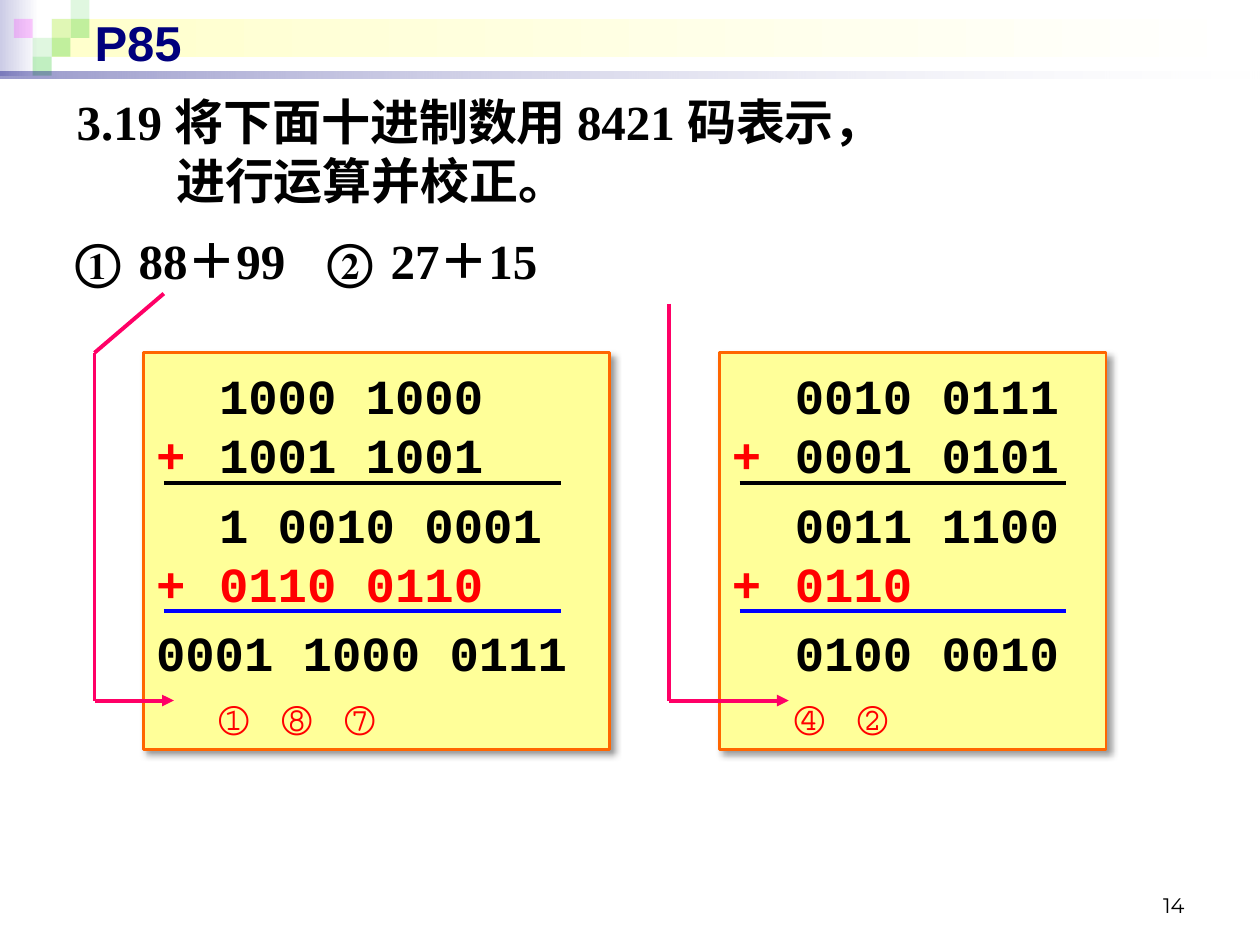
from dataclasses import dataclass
from itertools import pairwise

from lxml import etree
from pptx import Presentation
from pptx.dml.color import RGBColor
from pptx.enum.shapes import MSO_CONNECTOR, MSO_SHAPE
from pptx.enum.text import MSO_ANCHOR, MSO_AUTO_SIZE, PP_ALIGN
from pptx.oxml.ns import qn
from pptx.util import Inches, Pt

RECT = MSO_SHAPE.RECTANGLE
STRAIGHT = MSO_CONNECTOR.STRAIGHT
LEFT, RIGHT = PP_ALIGN.LEFT, PP_ALIGN.RIGHT
TOP, MIDDLE, BOTTOM = MSO_ANCHOR.TOP, MSO_ANCHOR.MIDDLE, MSO_ANCHOR.BOTTOM
NO_FIT = MSO_AUTO_SIZE.NONE

COLUMNS, ROWS = 100, 75   # slide grid, one cell is a tenth of an inch
DIGIT = 2.33              # width of one monospaced digit, in columns
TILE = 1.5                # side of a decoration tile, in columns
BLACK, RED, BLUE, PINK, NAVY = "000000", "FF0000", "0000FF", "FF0066", "00007D"
GREEN, MAGENTA, WHITE = "33CC33", "FF00FF", "FFFFFF"
SERIF, SANS, MONO = "Times New Roman", "Arial", "Courier New"


@dataclass
class Tile:
    column: int
    row: int
    colour: str
    alpha: int


@dataclass
class Row:
    """One line of a sum: pieces are (digit position, text)."""
    pieces: list[tuple[float, str]]
    colour: str = BLACK
    sign: str = ""
    gap: int = 0


@dataclass
class Sum:
    left: float
    width: float
    rule_width: float
    rows: list[Row]
    arrow: list[tuple[float, float]]


TILES = [
    Tile(2, 1, GREEN, 15), Tile(3, 0, GREEN, 15), Tile(3, 1, GREEN, 30),
    Tile(1, 2, GREEN, 15), Tile(0, 1, MAGENTA, 20), Tile(2, 2, GREEN, 30),
    Tile(1, 3, GREEN, 30),
]
SUMS = [
    Sum(11.4, 37, 31.5, [
        Row([(5.12, "1000 1000")]),
        Row([(5.12, "1001 1001")], sign="+"),
        Row([(3, "1 0010 0001")], gap=6),
        Row([(5, "0110 0110")], RED, "+"),
        Row([(0, "0001 1000 0111")], gap=6),
        Row([(1, "①"), (5, "⑧"), (9, "⑦")], RED),
    ], [(13, 23.3), (7.5, 28), (7.5, 55.6), (13.8, 55.6)]),
    Sum(57.1, 30.7, 25.9, [
        Row([(2, "0010 0111")]),
        Row([(2, "0001 0101")], sign="+"),
        Row([(2, "0011 1100")], gap=6),
        Row([(7, "0110")], RED, "+"),
        Row([(2, "0100 0010")], gap=6),
        Row([(3, "④"), (7, "②")], RED),
    ], [(53.1, 24.1), (53.1, 55.6), (62.6, 55.6)]),
]


def cells(n: float) -> int:
    return Inches(n / 10)


def rgb(colour: str) -> RGBColor:
    return RGBColor.from_string(colour)


def set_alpha(parent, percent: int) -> None:
    for clr in parent.iter(qn("a:srgbClr")):
        etree.SubElement(clr, qn("a:alpha"), val=str(percent * 1000))


def add_rect(s, left: float, top: float, width: float, height: float):
    sp = s.shapes.add_shape(RECT, *map(cells, (left, top, width, height)))
    sp.shadow.inherit = False
    sp.line.fill.background()
    return sp


def add_gradient(s, box, start: str, alphas=(100, 100)) -> None:
    fill = add_rect(s, *box).fill
    fill.gradient()
    fill.gradient_angle = 0
    for stop, colour, alpha in zip(fill.gradient_stops, (start, WHITE), alphas):
        stop.color.rgb = rgb(colour)
        if alpha < 100:
            set_alpha(stop.color._xFill, alpha)


def add_line(s, start, end, colour: str, arrow: bool = False) -> None:
    line = s.shapes.add_connector(STRAIGHT, *map(cells, (*start, *end)))
    line.line.color.rgb = rgb(colour)
    line.line.width = Pt(2.25)
    if arrow:
        etree.SubElement(line.line._get_or_add_ln(), qn("a:tailEnd"), type="triangle")
    etree.SubElement(line._element.spPr, qn("a:effectLst"))


def set_tabs(p, stops: list[float], indent: float = 0, hanging: float = 0) -> None:
    """Turn off bullets and set the indents and tab stops, in columns."""
    pPr = p._p.get_or_add_pPr()
    pPr.set("marL", str(cells(indent)))
    pPr.set("indent", str(cells(-hanging)))
    etree.SubElement(pPr, qn("a:buNone"))
    if stops:
        tabs = etree.SubElement(pPr, qn("a:tabLst"))
        for stop in stops:
            etree.SubElement(tabs, qn("a:tab"), pos=str(cells(stop)), algn="l")


def format_run(r, font: str, size: float, colour: str, bold: bool = True) -> None:
    r.font.name, r.font.size, r.font.bold = font, Pt(size), bold
    r.font.color.rgb = rgb(colour)


def write(sp, box, text: str, font: str, size: float, colour: str, bold=True,
          align=LEFT, anchor=TOP, stops=(), indent: float = 0) -> None:
    sp.left, sp.top, sp.width, sp.height = map(cells, box)
    tf = sp.text_frame
    tf.word_wrap, tf.auto_size, tf.vertical_anchor = True, NO_FIT, anchor
    p = tf.paragraphs[0]
    p.text = text
    set_tabs(p, list(stops), indent, indent)
    p.alignment, p.space_before = align, Pt(0)
    for r in p.runs:
        format_run(r, font, size, colour, bold)


def add_sum(s, item: Sum) -> None:
    sp = add_rect(s, item.left, 28, item.width, 31.5)
    sp.fill.solid()
    sp.fill.fore_color.rgb = rgb("FFFF99")
    sp.line.color.rgb = rgb("FF6600")
    sp.line.width = Pt(1.5)
    shadow = etree.SubElement(
        sp._element.spPr.find(qn("a:effectLst")), qn("a:outerShdw"),
        blurRad=str(Pt(4)), dist=str(Pt(3)), dir=str(45 * 60000), rotWithShape="0")
    etree.SubElement(shadow, qn("a:srgbClr"), val=BLACK)
    set_alpha(shadow, 40)

    tf = sp.text_frame
    tf.word_wrap, tf.vertical_anchor = True, TOP
    tf.margin_top = cells(1)
    for i, row in enumerate(item.rows):
        p = tf.add_paragraph() if i else tf.paragraphs[0]
        set_tabs(p, [at * DIGIT for at, _ in row.pieces if at])
        p.alignment, p.line_spacing, p.space_before = LEFT, Pt(33.7), Pt(row.gap)
        digits = "".join(("\t" if at else "") + text for at, text in row.pieces)
        for text, colour in ((row.sign, RED), (digits, row.colour)):
            if text:
                r = p.add_run()
                r.text = text
                format_run(r, MONO, 28, colour)

    rule_left = item.left + 1.6
    for y, colour in ((38.3, BLACK), (48.5, BLUE)):
        add_line(s, (rule_left, y), (rule_left + item.rule_width, y), colour)


def main() -> None:
    prs = Presentation()
    prs.slide_width, prs.slide_height = cells(COLUMNS), cells(ROWS)
    s = prs.slides.add_slide(prs.slide_layouts[1])

    add_gradient(s, (0, 0, 3.1, 6), "CCCCE6")
    add_gradient(s, (4.1, 1.5, 95.5, 3), "FFFFCC")
    for tile in TILES:
        sp = add_rect(s, 1.1 + tile.column * TILE, tile.row * TILE, TILE, TILE)
        sp.fill.solid()
        sp.fill.fore_color.rgb = rgb(tile.colour)
        set_alpha(sp._element.spPr, tile.alpha)
    add_gradient(s, (0, 5.7, COLUMNS, 0.5), NAVY, (40, 10))

    title, body = s.shapes.title, s.placeholders[1]
    for sp in (title, body):  # bring in front of the decoration
        s.shapes._spTree.append(sp._element)
    write(title, (6.5, 0.5, 90, 5.7), "P85", SANS, 28, NAVY, anchor=MIDDLE)
    write(body, (5, 17.8, 91.5, 7.1), "①\t88＋99\t②\t27＋15", SERIF, 28, BLACK,
          stops=(5.6, 40, 45.6))
    number = s.shapes.add_textbox(0, 0, 0, 0)
    write(number, (71.7, 68.3, 23.3, 5), "14", "Montserrat", 12, BLACK, False,
          RIGHT, BOTTOM)

    for item in SUMS:
        add_sum(s, item)
    for item in SUMS:
        for start, end in pairwise(item.arrow):
            add_line(s, start, end, PINK, arrow=end == item.arrow[-1])

    question = s.shapes.add_textbox(0, 0, 0, 0)
    write(question, (5.1, 6.8, 82.7, 11.8),
          "3.19 将下面十进制数用 8421 码表示，\v进行运算并校正。", SERIF, 28, BLACK,
          indent=7.9)
    prs.save("out.pptx")


if __name__ == "__main__":
    main()
